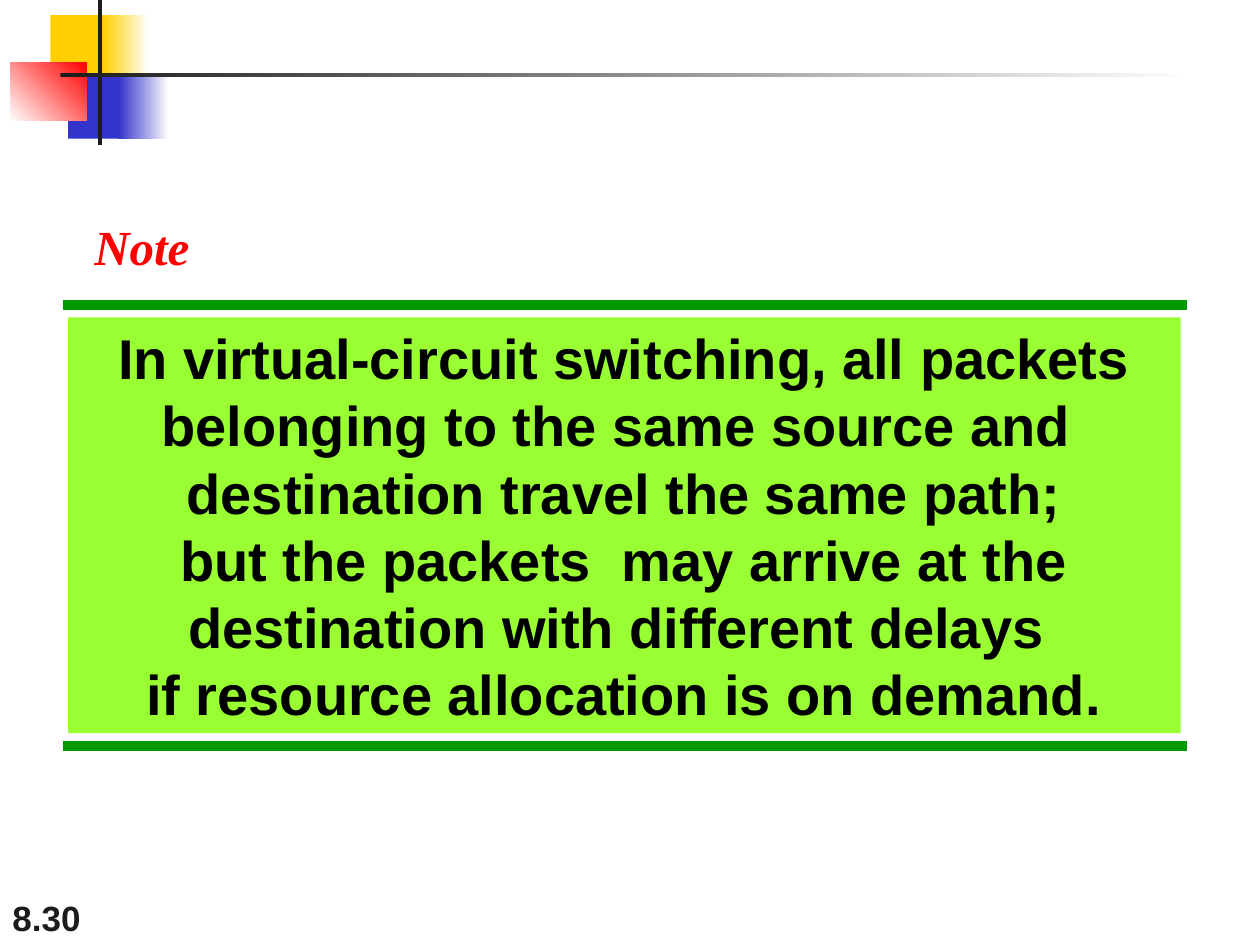
import pptx
import pptx.dml.color
import pptx.enum.shapes
import pptx.enum.text
import pptx.oxml.ns
import pptx.util
from dataclasses import dataclass
from typing import Optional
from lxml import etree

Align = pptx.enum.text.PP_ALIGN
Anchor = pptx.enum.text.MSO_ANCHOR

COLUMNS, ROWS = 100, 75
COLORS = {
    "white": "FFFFFF", "ink": "1C1C1C", "black": "000000",
    "yellow": "FFCF01", "blue": "3333CC", "red": "FF0000",
    "rule": "009900", "panel": "99FF33",
}

presentation = pptx.Presentation()
presentation.slide_width = pptx.util.Inches(10)
presentation.slide_height = pptx.util.Inches(7.5)
slide = presentation.slides.add_slide(presentation.slide_layouts[6])


@dataclass
class Block:
    """A rectangle in grid units; it fades to end_color when one is given."""
    col: float
    row: float
    cols: float
    rows: float
    color: str
    end_color: Optional[str] = None
    angle: float = 0


def x(col: float) -> int:
    return round(presentation.slide_width * col / COLUMNS)


def y(row: float) -> int:
    return round(presentation.slide_height * row / ROWS)


def rgb(name: str) -> pptx.dml.color.RGBColor:
    return pptx.dml.color.RGBColor.from_string(COLORS[name])


def draw_block(block: Block):
    rect = slide.shapes.add_shape(
        pptx.enum.shapes.MSO_SHAPE.RECTANGLE,
        x(block.col), y(block.row), x(block.cols), y(block.rows))
    rect.shadow.inherit = False
    rect.line.fill.background()
    if block.end_color:
        rect.fill.gradient()
        rect.fill.gradient_angle = block.angle
        for stop, name in zip(rect.fill.gradient_stops, (block.color, block.end_color)):
            stop.color.rgb = rgb(name)
    else:
        rect.fill.solid()
        rect.fill.fore_color.rgb = rgb(block.color)
    return rect


def draw_rule(row: float) -> None:
    rule = slide.shapes.add_connector(
        pptx.enum.shapes.MSO_CONNECTOR.STRAIGHT, x(5), y(row), x(94.2), y(row))
    rule.line.color.rgb = rgb("rule")
    rule.line.width = pptx.util.Pt(6)
    etree.SubElement(rule._element.spPr, pptx.oxml.ns.qn("a:effectLst"))


def write(shape, text: str, *, size: float, color: str, font: str = "Arial",
          italic: bool = False, align=Align.LEFT, anchor=Anchor.TOP,
          wrap: bool = True, leading: Optional[float] = None) -> None:
    frame = shape.text_frame
    frame.word_wrap = wrap
    frame.vertical_anchor = anchor
    frame.text = text
    for paragraph in frame.paragraphs:
        paragraph.alignment = align
        if leading:
            paragraph.line_spacing = pptx.util.Pt(leading)
        for run in paragraph.runs:
            run.font.name = font
            run.font.size = pptx.util.Pt(size)
            run.font.bold = True
            run.font.italic = italic
            run.font.color.rgb = rgb(color)


# Page number
page_number = slide.shapes.add_textbox(x(0), y(70), x(20.8), y(5))
write(page_number, "8.30", size=20, color="ink", anchor=Anchor.BOTTOM)

# Corner ornament, back to front
ORNAMENT = [
    Block(4, 1.2, 4.8, 5.2, "yellow"),
    Block(8.2, 1.2, 3.6, 5.2, "yellow", "white"),
    Block(5.4, 5.8, 4.6, 5.2, "blue"),
    Block(9.4, 5.8, 4, 5.2, "blue", "white"),
    Block(0.8, 5, 6.1, 4.6, "white", "red", angle=45),
    Block(7.8, 0, 0.3, 11.5, "ink"),
    Block(4.8, 5.8, 90, 0.3, "ink", "white"),
]
for ornament_block in ORNAMENT:
    draw_block(ornament_block)

# Green rules above and below the statement
for rule_row in (24.2, 59.2):
    draw_rule(rule_row)

# Statement: a vertical tab breaks a line inside a paragraph
STATEMENT = (
    "In virtual-circuit switching, all packets belonging to the same source and \v"
    "destination travel the same path;\n"
    "but the packets  may arrive at the destination with different delays \v"
    "if resource allocation is on demand."
)
statement = draw_block(Block(5.4, 25.2, 88.3, 33, "panel"))
write(statement, STATEMENT, size=32, color="black", align=Align.CENTER, leading=38.4)

# Heading
heading = slide.shapes.add_textbox(x(6.5), y(16.7), x(9.6), y(5.7))
write(heading, "Note", size=28, color="red", font="Times New Roman",
      italic=True, wrap=False)

presentation.save("out.pptx")
